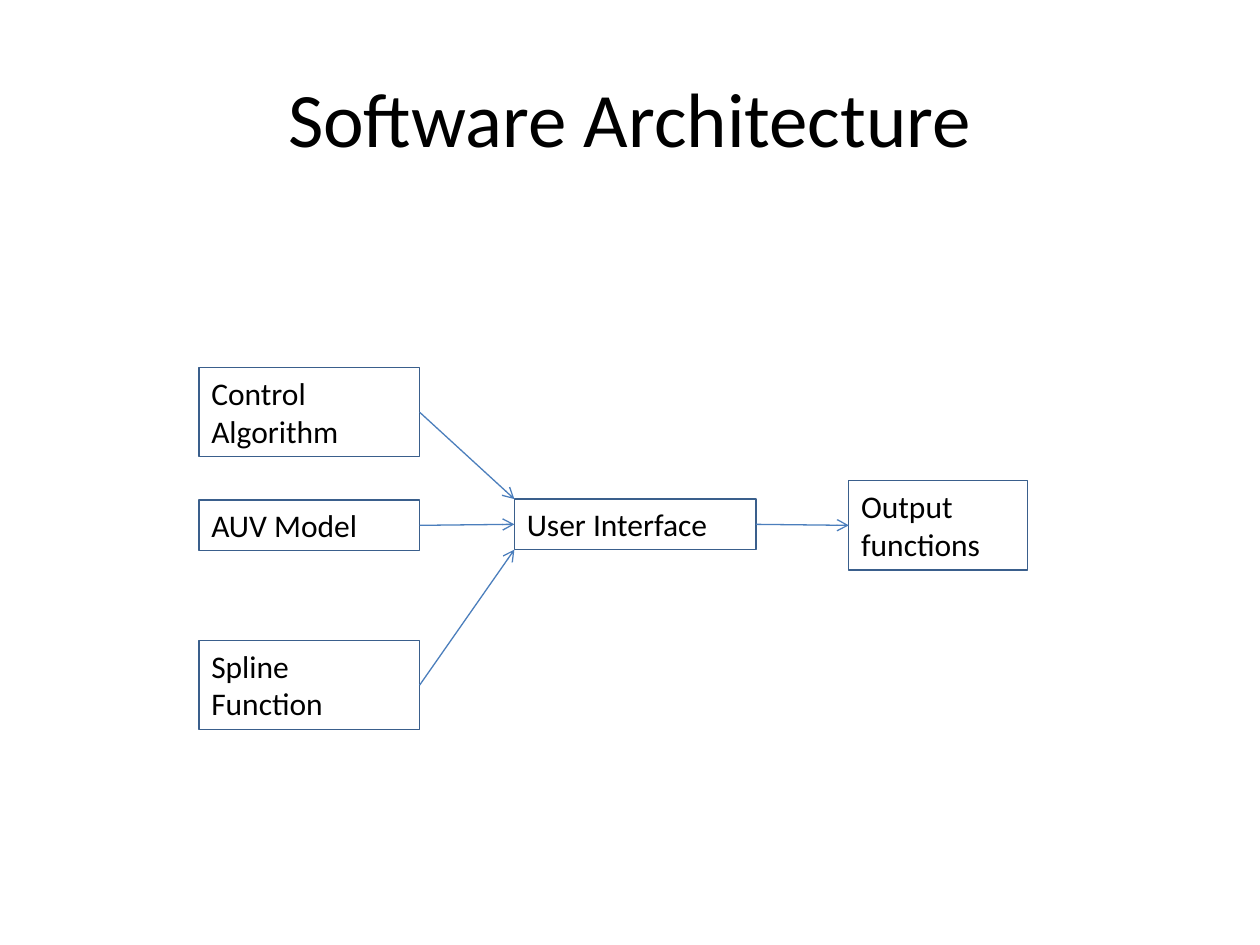
from lxml import etree
from pptx import Presentation
from pptx.dml.color import RGBColor
from pptx.enum.shapes import MSO_CONNECTOR, MSO_SHAPE
from pptx.enum.text import MSO_ANCHOR, PP_ALIGN
from pptx.oxml.ns import qn
from pptx.util import Cm, Pt

BLACK = RGBColor(0x00, 0x00, 0x00)
BORDER = RGBColor(0x3A, 0x5F, 0x8C)
ARROW = RGBColor(0x4B, 0x7E, 0xBC)
FONT = "Calibri"
LINE_WIDTH = Pt(0.75)
RIGHT, LEFT = 3, 1  # connection sites of a rectangle

INPUT_X, INPUT_W = 4.01, 4.45
ONE_LINE, TWO_LINES = 1.02, 1.8  # box heights


def set_text(sp, text, size=18, align=PP_ALIGN.LEFT, anchor=MSO_ANCHOR.TOP):
    tf = sp.text_frame
    tf.word_wrap = True
    tf.vertical_anchor = anchor
    p = tf.paragraphs[0]
    p.alignment = align
    r = p.add_run()
    r.text = text
    r.font.name = FONT
    r.font.size = Pt(size)
    r.font.color.rgb = BLACK


def add_title(s, text):
    sp = s.shapes.add_textbox(Cm(1.27), Cm(0.76), Cm(22.86), Cm(3.18))
    set_text(sp, text, size=44, align=PP_ALIGN.CENTER, anchor=MSO_ANCHOR.MIDDLE)


def add_box(s, text, x, y, w, h):
    sp = s.shapes.add_shape(MSO_SHAPE.RECTANGLE, Cm(x), Cm(y), Cm(w), Cm(h))
    sp.shadow.inherit = False
    sp.fill.background()
    sp.line.color.rgb = BORDER
    sp.line.width = LINE_WIDTH
    set_text(sp, text)
    return sp


def add_arrow(s, source, target, corner_y=None):
    """Join source's right side to target's left side, or to a left corner."""
    end_y = target.top if corner_y is None else corner_y
    c = s.shapes.add_connector(MSO_CONNECTOR.STRAIGHT, source.left + source.width,
                               source.top + source.height // 2, target.left, end_y)
    c.begin_connect(source, RIGHT)
    if corner_y is None:
        c.end_connect(target, LEFT)
    c.line.color.rgb = ARROW
    c.line.width = LINE_WIDTH
    etree.SubElement(c.line._get_or_add_ln(), qn("a:tailEnd"), type="arrow")
    etree.SubElement(c._element.spPr, qn("a:effectLst"))


def main():
    prs = Presentation()
    prs.slide_width, prs.slide_height = Cm(25.4), Cm(19.05)
    s = prs.slides.add_slide(prs.slide_layouts[6])

    add_title(s, "Software Architecture")

    # Inputs on the left, interface in the middle, output on the right
    control, model, spline = [
        add_box(s, text, INPUT_X, y, INPUT_W, h)
        for text, y, h in (("Control Algorithm", 7.41, TWO_LINES),
                           ("AUV Model", 10.08, ONE_LINE),
                           ("Spline Function", 12.91, TWO_LINES))
    ]
    interface = add_box(s, "User Interface", 10.37, 10.06, 4.87, ONE_LINE)
    output = add_box(s, "Output functions", 17.11, 9.69, 3.61, TWO_LINES)

    # Data flow
    add_arrow(s, control, interface, corner_y=interface.top)
    add_arrow(s, spline, interface, corner_y=interface.top + interface.height)
    add_arrow(s, model, interface)
    add_arrow(s, interface, output)

    prs.save("out.pptx")


if __name__ == "__main__":
    main()
